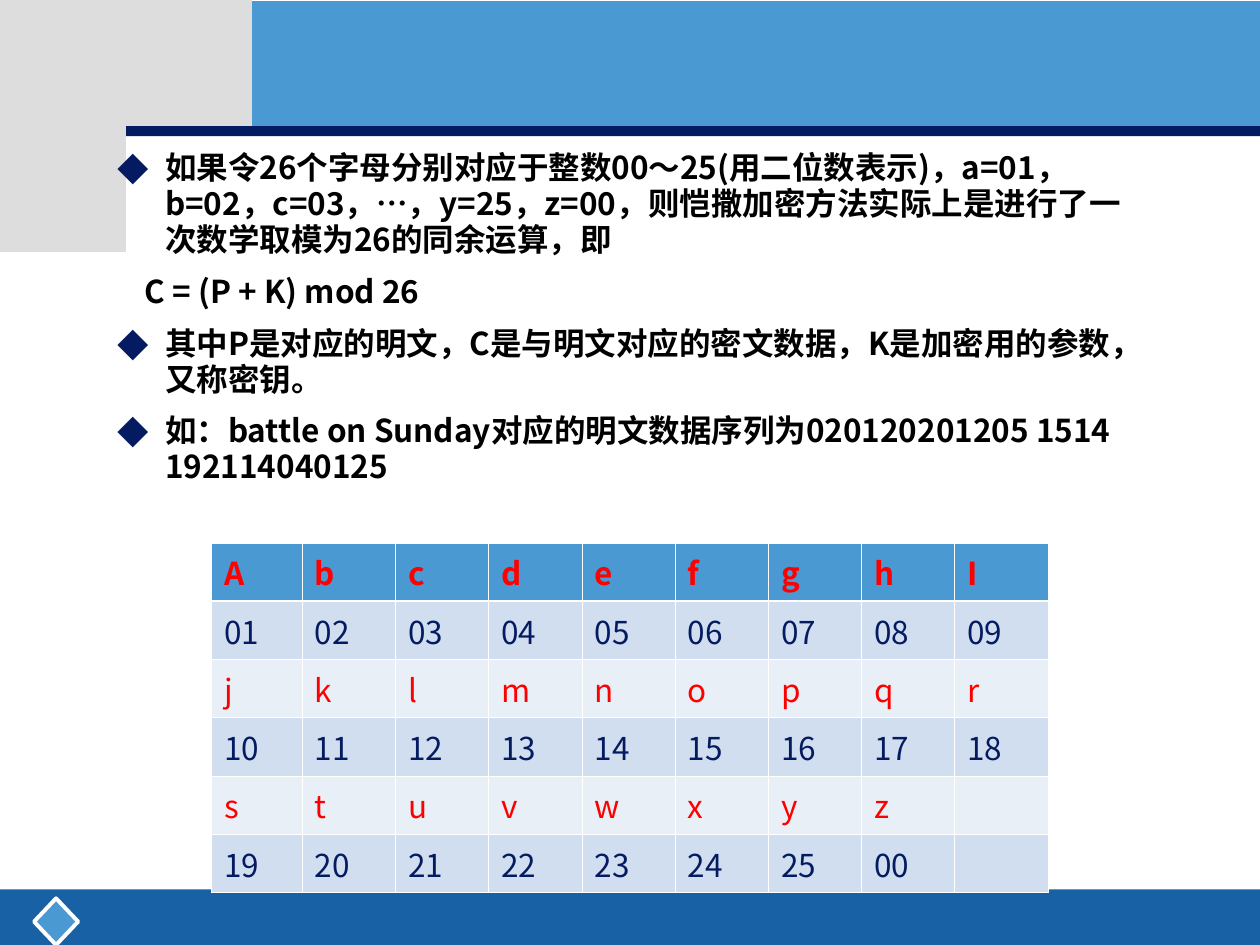
from lxml.etree import SubElement
from pptx import Presentation
from pptx.dml.color import RGBColor
from pptx.enum.shapes import MSO_SHAPE
from pptx.enum.text import MSO_ANCHOR, MSO_AUTO_SIZE
from pptx.oxml import parse_xml
from pptx.oxml.ns import nsdecls, qn
from pptx.util import Inches, Pt

COLUMNS = 9
LETTERS = "AbcdefghIjklmnopqrstuvwxyz"
NUMBERS = [f"{(i + 1) % 26:02}" for i in range(26)]


def rgb(value):
    return RGBColor.from_string(value)


def add_text(p, text, font, size=18, color="000000", bold=False):
    r = p.add_run()
    r.text = text
    r.font.name = font
    r.font.size = Pt(size)
    r.font.bold = bold
    r.font.color.rgb = rgb(color)
    SubElement(r.font._element, qn("a:ea")).set("typeface", "Noto Sans CJK SC")


def curve(start, c1, c2, end, steps=24):
    for i in range(1, steps + 1):
        t = i / steps
        u = 1 - t
        yield tuple(
            u**3 * a + 3 * u * u * t * b + 3 * u * t * t * c + t**3 * d
            for a, b, c, d in zip(start, c1, c2, end)
        )


class Deck:
    font = "Noto Sans CJK SC"
    navy = "051B61"
    sky = "4B99D3"
    blue = "1861A4"
    gray = "DDDDDD"
    white = "FFFFFF"
    red = "FF0000"
    bands = ("D0DEEF", "E9EFF7")

    def __init__(self, prs):
        self.s = prs.slides.add_slide(prs.slide_layouts[1])
        title = self.s.shapes.title.element
        title.getparent().remove(title)

    def paint(self, sp, fill, line=None):
        sp.shadow.inherit = False
        sp.fill.solid()
        sp.fill.fore_color.rgb = rgb(fill)
        if line:
            sp.line.color.rgb = rgb(line)
            sp.line.width = Pt(2.25)
        else:
            sp.line.fill.background()

    def shape(self, kind, x, y, w, h, fill, line=None):
        sp = self.s.shapes.add_shape(kind, Inches(x), Inches(y), Inches(w), Inches(h))
        self.paint(sp, fill, line)

    def outline(self, points, fill):
        builder = self.s.shapes.build_freeform(*points[0], scale=Inches(1))
        builder.add_line_segments(points[1:], close=True)
        self.paint(builder.convert_to_shape(), fill)

    def bullet(self, p):
        pPr = p._p.get_or_add_pPr()
        color = SubElement(pPr, qn("a:buClr"))
        SubElement(color, qn("a:srgbClr")).set("val", self.navy)
        SubElement(pPr, qn("a:buFont")).set("typeface", self.font)
        SubElement(pPr, qn("a:buChar")).set("char", "◆")

    def body(self, x, y, w, h, items):
        sp = self.s.placeholders[1]
        sp.left, sp.top, sp.width, sp.height = map(Inches, (x, y, w, h))
        sp.element.getparent().append(sp.element)
        tf = sp.text_frame
        tf.word_wrap = True
        tf.auto_size = MSO_AUTO_SIZE.NONE
        tf.vertical_anchor = MSO_ANCHOR.TOP
        for i, (bulleted, runs) in enumerate(items):
            p = tf.add_paragraph() if i else tf.paragraphs[0]
            p.line_spacing = 0.95
            p.space_before = Pt(9 if i else 0)
            pPr = p._p.get_or_add_pPr()
            pPr.set("marL", str(Inches(0.38 if bulleted else 0.22)))
            pPr.set("indent", str(Inches(-0.38 if bulleted else 0)))
            if bulleted:
                self.bullet(p)
            else:
                SubElement(pPr, qn("a:buNone"))
            for text in runs:
                add_text(p, text, "Arial" if text == "…" else self.font, bold=True)

    def borders(self, cell, **widths):
        tcPr = cell._tc.get_or_add_tcPr()
        for i, side in enumerate("LRTB"):
            width = Pt(widths.get(side, 0.45))
            tcPr.insert(i, parse_xml(
                f'<a:ln{side} {nsdecls("a")} w="{width}"><a:solidFill>'
                f'<a:srgbClr val="{self.white}"/></a:solidFill></a:ln{side}>'
            ))

    def table(self, x, y, w, h, rows):
        frame = self.s.shapes.add_table(
            len(rows), COLUMNS, Inches(x), Inches(y), Inches(w), Inches(h)
        )
        table = frame.table
        table.first_row = False
        table.horz_banding = False
        for c, column in enumerate(table.columns):
            column.width = Inches(0.74 if c else 0.72)
        for r, row in enumerate(rows):
            color = self.navy if r % 2 else self.red
            edges = {0: {"B": 1.47}, 1: {"T": 1.47}}.get(r, {})
            for c in range(COLUMNS):
                cell = table.cell(r, c)
                cell.fill.solid()
                cell.fill.fore_color.rgb = rgb(self.bands[(r + 1) % 2] if r else self.sky)
                self.borders(cell, **edges)
                if c < len(row):
                    add_text(cell.text_frame.paragraphs[0], row[c], self.font,
                             color=color, bold=r == 0)


def main():
    prs = Presentation()
    prs.slide_width = Inches(10)
    prs.slide_height = Inches(7.5)
    deck = Deck(prs)

    deck.shape(MSO_SHAPE.RECTANGLE, 0, 7.06, 10, 0.44, deck.blue)
    deck.shape(MSO_SHAPE.DIAMOND, 0.27, 7.13, 0.35, 0.37, deck.sky, deck.white)
    deck.shape(MSO_SHAPE.RECTANGLE, 0, 0.76, 10, 0.32, deck.navy)
    deck.shape(MSO_SHAPE.RECTANGLE, 0.03, 0.01, 9.97, 0.99, deck.sky)
    deck.outline(
        [
            (1.17, 1.19),
            *curve((1.17, 1.19), (0.77, 1.51), (0.24, 1.65), (0, 1.7)),
            (0, 0),
            (1.74, 0),
            *curve((1.74, 0), (1.77, 0.32), (1.57, 0.88), (1.17, 1.19)),
        ],
        deck.gray,
    )

    deck.body(0.83, 1.15, 8.35, 5.36, [
        (True, [
            "如果令26个字母分别对应于整数00～25(用二位数表示)，a=01，b=02，c=03，",
            "…",
            "，y=25，z=00，则恺撒加密方法实际上是进行了一次数学取模为26的同余运算，即",
        ]),
        (False, ["C = (P + K) mod 26"]),
        (True, ["其中P是对应的明文，C是与明文对应的密文数据，K是加密用的参数，又称密钥。"]),
        (True, ["如：battle on Sunday对应的明文数据序列为020120201205 1514 192114040125"]),
    ])

    rows = [
        source[start:start + COLUMNS]
        for start in range(0, len(LETTERS), COLUMNS)
        for source in (LETTERS, NUMBERS)
    ]
    deck.table(1.68, 4.31, 6.64, 2.43, rows)
    prs.save("out.pptx")


if __name__ == "__main__":
    main()
